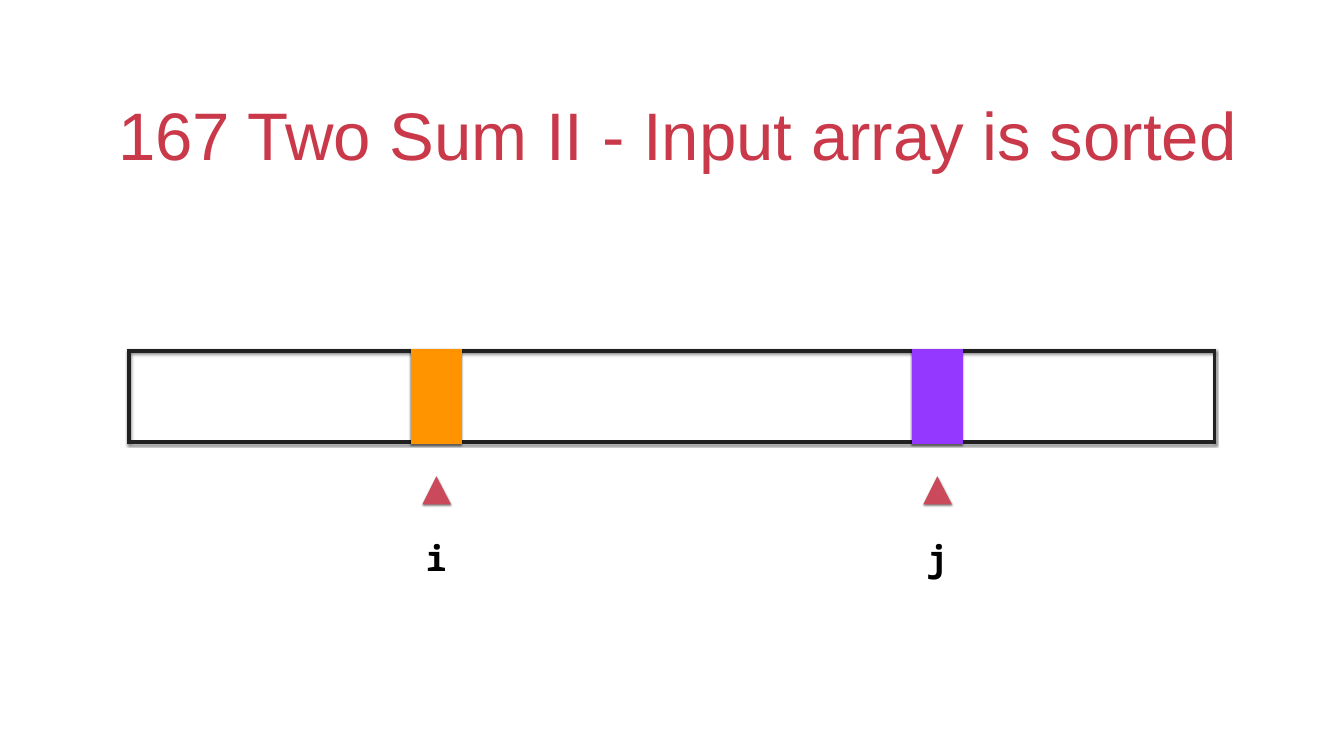
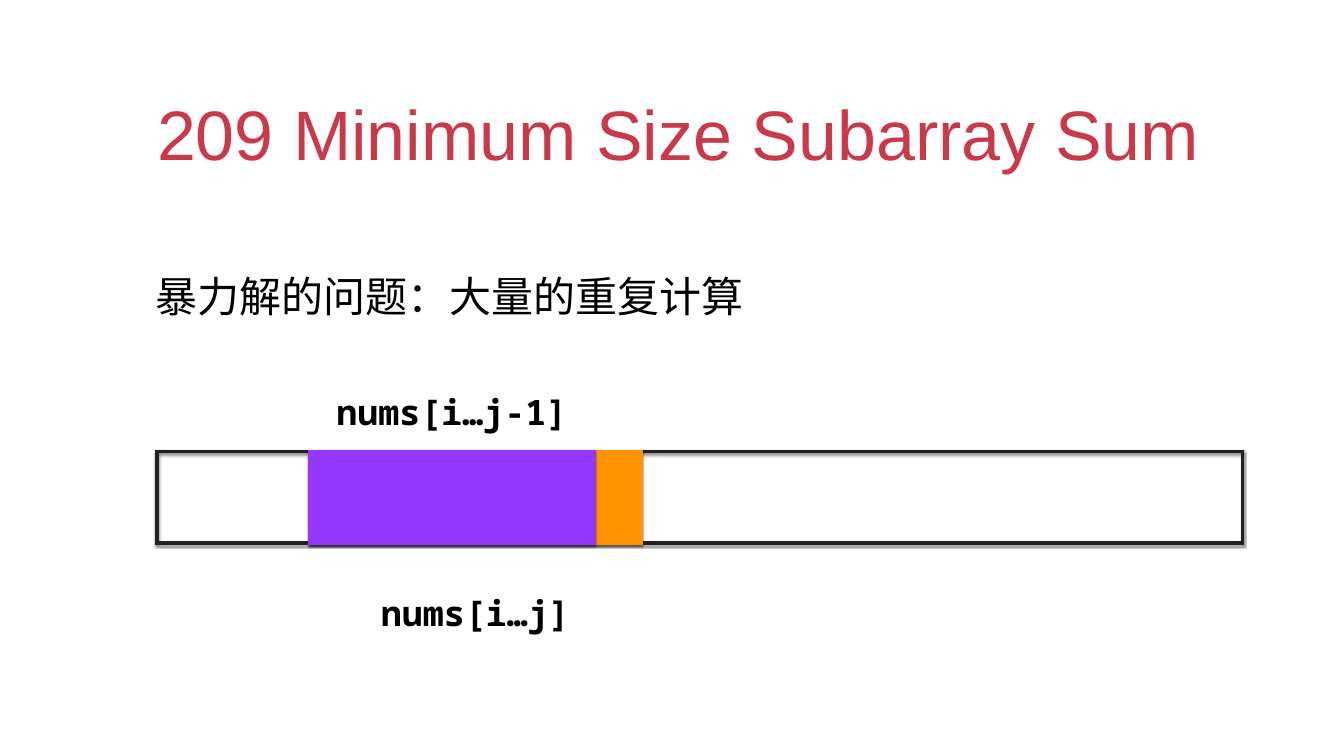
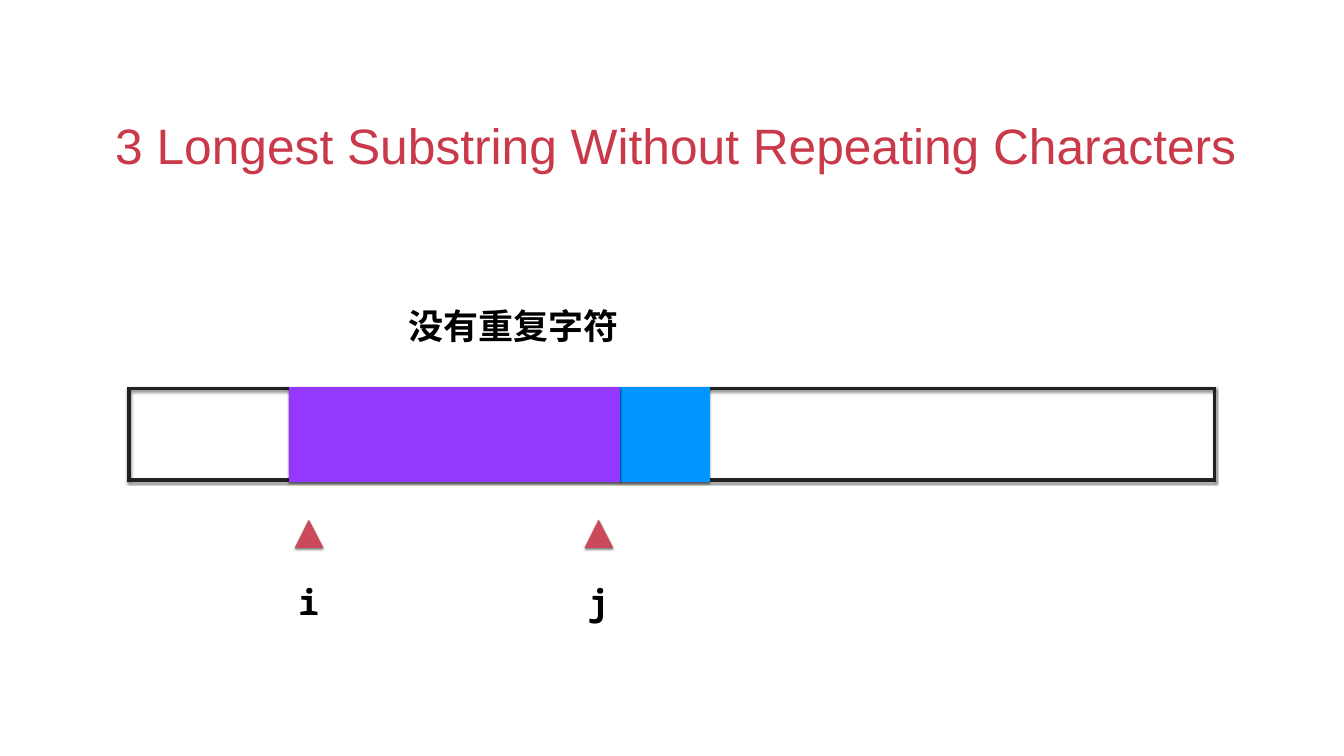
"""Build three slides that show two-pointer and sliding-window array problems."""
from dataclasses import dataclass

from lxml.etree import SubElement
from pptx import Presentation
from pptx.dml.color import RGBColor
from pptx.enum.shapes import MSO_SHAPE
from pptx.enum.text import MSO_ANCHOR, MSO_AUTO_SIZE, PP_ALIGN
from pptx.oxml.ns import qn
from pptx.util import Pt

PX = 9144


@dataclass(frozen=True)
class Theme:
    title: str = "C9394A"
    text: str = "000000"
    outline: str = "212121"
    arrow: str = "CA495A"
    purple: str = "9437FF"
    orange: str = "FF9300"
    blue: str = "0096FF"
    sans: str = "Arial"
    mono: str = "Noto Sans Mono"
    note_size: int = 60
    label_size: int = 50
    line_width: int = 5


THEME = Theme()
SLIDE_SIZE = 2667, 1500
TITLE_BOX = 194, 130, 2278, 222
BAR_WIDTH, BAR_HEIGHT = 2154, 181
ARROW_WIDTH, ARROW_HEIGHT = 57, 56
LABEL_WIDTH, LABEL_HEIGHT, LABEL_DROP = 54, 92, 116
INSET = 6

SLIDES = [
    {
        "title": ("167 Two Sum II - Input array is sorted", 96),
        "bar": (256, 696),
        "segments": [(1813, 94, THEME.purple), (819, 94, THEME.orange)],
        "pointers": [("i", 866), ("j", 1860)],
        "pointer_top": 945,
    },
    {
        "title": ("209 Minimum Size Subarray Sum", 100),
        "note": ("暴力解的问题：大量的重复计算", (303, 497, 1460, 128)),
        "bar": (312, 896),
        "segments": [(615, 657, THEME.orange), (615, 564, THEME.purple)],
        "labels": [
            ("nums[i…j]", (749, 1169, 389, 92)),
            ("nums[i…j-1]", (661, 771, 472, 92)),
        ],
    },
    {
        "title": ("3 Longest Substring Without Repeating Characters", 71),
        "bar": (256, 771),
        "segments": [(1234, 171, THEME.blue), (577, 650, THEME.purple)],
        "pointers": [("i", 613), ("j", 1188)],
        "pointer_top": 1031,
        "labels": [("没有重复字符", (804, 591, 429, 108))],
    },
]


def emu(lengths):
    return [length * PX for length in lengths]


def set_all(target, values):
    for name, value in values.items():
        setattr(target, name, value)


def write(box, text, size, font, color, **formats):
    """Fill a box with one formatted paragraph and return that paragraph."""
    frame = box.text_frame
    frame.text = text
    margins = {f"margin_{side}": INSET * PX for side in ("left", "top", "right", "bottom")}
    set_all(frame, margins | formats.get("frame", {}))
    para = frame.paragraphs[0]
    set_all(para, formats.get("para", {}))
    span = para.runs[0]
    set_all(span.font, {"size": Pt(size), "name": font, "bold": formats.get("bold", False)})
    span.font.color.rgb = RGBColor.from_string(color)
    SubElement(span.font._element, qn("a:ea"), typeface=font)
    return para


def add_shadow(shape):
    shape.shadow.inherit = False
    effects = shape._element.spPr.find(qn("a:effectLst"))
    shadow = SubElement(effects, qn("a:outerShdw"), blurRad=str(Pt(3)),
                        dist=str(Pt(2)), dir="5400000", rotWithShape="0")
    color = SubElement(shadow, qn("a:srgbClr"), val="000000")
    SubElement(color, qn("a:alpha"), val="50000")


def add_block(page, left, top, width, line, fill=None):
    block = page.shapes.add_shape(MSO_SHAPE.RECTANGLE, *emu((left, top, width, BAR_HEIGHT)))
    if fill:
        block.fill.solid()
        block.fill.fore_color.rgb = RGBColor.from_string(fill)
    else:
        block.fill.background()
    block.line.color.rgb = RGBColor.from_string(line)
    block.line.width = Pt(THEME.line_width)
    SubElement(block._element.spPr.find(qn("a:ln")), qn("a:miter"), lim="400000")
    add_shadow(block)


def add_label(shapes, text, place):
    box = shapes.add_textbox(*emu(place))
    write(box, text, THEME.label_size, THEME.mono, THEME.text, bold=True,
          para={"alignment": PP_ALIGN.CENTER},
          frame={"word_wrap": False, "vertical_anchor": MSO_ANCHOR.MIDDLE,
                 "auto_size": MSO_AUTO_SIZE.SHAPE_TO_FIT_TEXT})


def add_pointer(page, name, center, top):
    group = page.shapes.add_group_shape()
    left, bottom = center - ARROW_WIDTH // 2, top + ARROW_HEIGHT
    builder = group.shapes.build_freeform(center, top, scale=PX)
    builder.add_line_segments([(left + ARROW_WIDTH, bottom), (left, bottom)], close=True)
    arrow = builder.convert_to_shape()
    arrow.fill.solid()
    arrow.fill.fore_color.rgb = RGBColor.from_string(THEME.arrow)
    arrow.line.fill.background()
    add_shadow(arrow)
    add_label(group.shapes, name,
              (center - LABEL_WIDTH // 2, top + LABEL_DROP, LABEL_WIDTH, LABEL_HEIGHT))


def add_title(page, text, size):
    title = page.shapes.title
    set_all(title, dict(zip(("left", "top", "width", "height"), emu(TITLE_BOX))))
    para = write(title, text, size, THEME.sans, THEME.title,
                 para={"alignment": PP_ALIGN.CENTER},
                 frame={"word_wrap": True, "vertical_anchor": MSO_ANCHOR.BOTTOM,
                        "auto_size": MSO_AUTO_SIZE.NONE})
    para._p.get_or_add_pPr().set("indent", str(size * PX // 4))


def add_note(page, text, place):
    box = page.shapes.add_textbox(*emu(place))
    write(box, text, THEME.note_size, THEME.sans, THEME.text,
          para={"line_spacing": 1.5},
          frame={"word_wrap": True, "vertical_anchor": MSO_ANCHOR.MIDDLE,
                 "auto_size": MSO_AUTO_SIZE.SHAPE_TO_FIT_TEXT})


def add_page(deck, content):
    page = deck.slides.add_slide(deck.slide_layouts[0])
    subtitle = page.placeholders[1]._element
    subtitle.getparent().remove(subtitle)
    add_title(page, *content["title"])
    if "note" in content:
        add_note(page, *content["note"])
    left, top = content["bar"]
    add_block(page, left, top, BAR_WIDTH, THEME.outline)
    for start, width, color in content["segments"]:
        add_block(page, start, top, width, color, color)
    for name, center in content.get("pointers", []):
        add_pointer(page, name, center, content["pointer_top"])
    for text, place in content.get("labels", []):
        add_label(page.shapes, text, place)


def main():
    deck = Presentation()
    deck.slide_width, deck.slide_height = emu(SLIDE_SIZE)
    for content in SLIDES:
        add_page(deck, content)
    deck.save("out.pptx")


if __name__ == "__main__":
    main()
